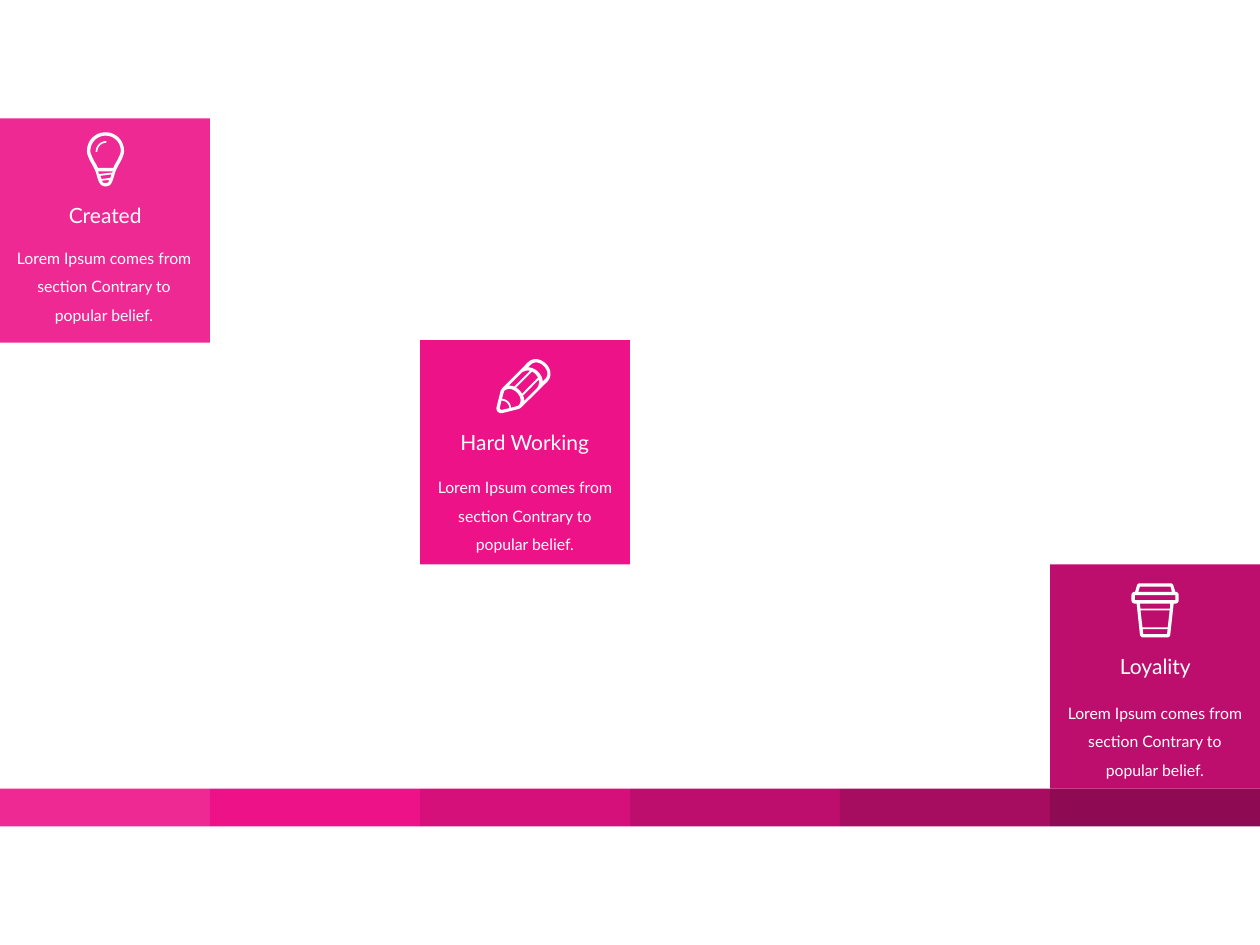
from pptx import Presentation
from pptx import util as u
from pptx.dml.color import RGBColor
from pptx.enum import shapes, text

# Icon outlines in hundredths of an inch: a pair is a corner,
# six numbers are a cubic curve (two handles, then the end).
BULB = [
    [(14.8, 0), (6.5, 0, 0, 6.5, 0, 14.8), (0, 20, 5, 26, 7, 31.5),
     (9, 38, 9.5, 43, 14.8, 43), (20, 43, 20.5, 38, 22.5, 31.5),
     (24.5, 26, 29.5, 20, 29.5, 14.8), (29.5, 6.5, 23, 0, 14.8, 0)],
    [(21, 28.2), (8.6, 28.2), (8, 26.5, 7, 25, 6.3, 23.8),
     (4.5, 20.5, 2.7, 17, 2.7, 14.8), (2.7, 8, 8, 2.7, 14.8, 2.7),
     (21.5, 2.7, 26.9, 8, 26.9, 14.8), (26.9, 17, 25, 20.5, 23.2, 23.8),
     (22.5, 25, 21.6, 26.5, 21, 28.2)],
    [(9.6, 33.2), (8.8, 31), (20.6, 31), (20.1, 32)],
    [(18.6, 36.3), (11.6, 37.1), (10.7, 34.6), (19.4, 33.5)],
    [(14.8, 40.3), (13, 40.3, 12.5, 40.2, 11.9, 38.4), (17.7, 37.9),
     (17, 40.3, 16.5, 40.3, 14.8, 40.3)],
]
GLINT = [[(8.5, 0), (3.8, 0, 0, 3.8, 0, 8.5), (1.3, 8.5),
          (1.3, 4.5, 4.5, 1.3, 8.5, 1.3)]]
PENCIL = [
    [(39.3, 3.7), (36.5, 1, 33, 0, 31.5, 0), (29, 0, 26.5, 1, 25, 2.6),
     (4.9, 22.8), (4, 24, 3.5, 24.8, 3.2, 25.8), (0.3, 37.5),
     (0.1, 38.2, 0, 38.7, 0, 39), (0, 41.4, 1.6, 43, 4, 43),
     (4.6, 43, 5, 42.9, 5.5, 42.7), (17.2, 39.8),
     (18.2, 39.5, 19, 39, 19.8, 38.3), (40.4, 18),
     (44, 14.2, 43.8, 8.2, 39.3, 3.7)],
    [(22, 32), (21.9, 31, 21.5, 30, 21.1, 29), (33.6, 16.4),
     (34.2, 19, 33.6, 21.5, 32, 23.2), (21.9, 33.3)],
    [(20.3, 27.6), (19, 25.3, 17.5, 23.8, 15.5, 22.7), (28.3, 9.9),
     (30.3, 11, 31.9, 12.6, 33, 14.8)],
    [(14.1, 21.9), (12.5, 21.3, 11, 21.1, 9.7, 21.2), (19.8, 11.1),
     (21.6, 9.4, 24.1, 8.7, 26.8, 9.3)],
    [(5, 40.2), (3.7, 40.6, 2.6, 39.8, 2.6, 39), (2.8, 38), (4, 32.9),
     (5.7, 33, 7.2, 33.7, 8.5, 34.8), (9.6, 36, 10.2, 37.5, 10.2, 39)],
    [(11.6, 38.7), (11.5, 36.9, 10.8, 35.2, 9.5, 33.8),
     (8, 32.4, 6.2, 31.7, 4.4, 31.5), (5.8, 26.4),
     (5.9, 26, 6, 25.6, 6.3, 25.2), (9, 22.8, 13.2, 23.4, 16.3, 26.6),
     (19.6, 29.8, 20.1, 34.3, 17.6, 36.8), (16.5, 37.3)],
    [(38.5, 16.1), (36.7, 17.9), (36.6, 14.8, 35, 12.1, 33, 10.1),
     (30.8, 8, 28.1, 6.7, 25.2, 6.6), (27, 4.8),
     (28.2, 3.4, 29.8, 2.7, 31.6, 2.7), (33.6, 2.7, 35.8, 3.7, 37.5, 5.5),
     (41, 9, 41.5, 13, 38.5, 16.1)],
]
CUP = [
    [(34.8, 6.7), (33.2, 1.6), (32.9, 0.6, 32, 0, 31, 0), (6.7, 0),
     (5.6, 0, 4.7, 0.6, 4.4, 1.6), (2.9, 6.7), (1.2, 6.7, 0, 7.9, 0, 9.4),
     (0, 13.4), (0, 14.9, 1.2, 16.1, 2.7, 16.1), (4.1, 16.1), (6.7, 40.6),
     (6.9, 42, 8, 43, 9.4, 43), (28.2, 43), (29.6, 43, 30.7, 42, 30.8, 40.6),
     (33.5, 16.1), (34.8, 16.1), (36.3, 16.1, 37.5, 14.9, 37.5, 13.4),
     (37.5, 9.4), (37.5, 7.9, 36.3, 6.7, 34.8, 6.7)],
    [(6.7, 2.7), (31, 2.7), (32.1, 6.7), (5.4, 6.7)],
    [(9.4, 40.3), (8.9, 36.3), (28.7, 36.3), (28.2, 40.3)],
    [(28.8, 34.9), (8.7, 34.9), (7.2, 21.5), (30.3, 21.5)],
    [(30.5, 20.1), (7.1, 20.1), (6.7, 16.1), (30.8, 16.1)],
    [(34.8, 13.4), (2.7, 13.4), (2.7, 9.4), (34.8, 9.4)],
]
WHITE = "FFFFFF"
BODY = "Lorem Ipsum comes from section Contrary to popular belief."


def paint(shape, color):
    shape.shadow.inherit = False
    shape.fill.solid()
    shape.fill.fore_color.rgb = RGBColor.from_string(color)
    shape.line.fill.background()


def trace(loop, left, top):
    """Turn corners and curves into points on the slide."""
    pts = []
    for step in loop:
        if len(step) == 2:
            pts.append(step)
            continue
        a, b, c, d = pts[-1], step[:2], step[2:4], step[4:]
        for n in range(1, 9):
            t = n / 8
            s = 1 - t
            pts.append([s**3 * a[i] + 3 * s * s * t * b[i]
                        + 3 * s * t * t * c[i] + t**3 * d[i] for i in (0, 1)])
    return [(u.Inches(left + x / 100), u.Inches(top + y / 100)) for x, y in pts]


deck = Presentation()
deck.slide_width, deck.slide_height = u.Inches(10), u.Inches(7.5)
page = deck.slides.add_slide(deck.slide_layouts[6]).shapes
wide = 10 / 6

# Colour band and cards: left, top, width, height, colour
band = ["EF2994", "EE1289", "D6107B", "BE0E6D", "A60C5F", "8E0A52"]
rects = [(i * wide, 6.26, wide, 0.3, color) for i, color in enumerate(band)]
rects += [(col * wide, top, wide, 1.78, color) for col, top, color in
          [(5, 4.48, band[3]), (2, 2.7, band[1]), (0, 0.94, band[0])]]
for *box, color in rects:
    paint(page.add_shape(shapes.MSO_SHAPE.RECTANGLE, *map(u.Inches, box)), color)

# Text: left, top, width, height, words, size, line spacing, wrap
notes = [
    (0.44, 1.56, 0.79, 0.3, "Created", 12, 1, False),
    (3.54, 3.36, 1.25, 0.3, "Hard Working", 12, 1, False),
    (8.78, 5.14, 0.78, 0.3, "Loyality", 12, 1, False),
]
notes += [(left, top, 1.65, 0.78, BODY, 9, 1.5, True)
          for left, top in [(0, 1.85), (3.34, 3.67), (8.34, 5.46)]]
for *box, words, size, space, wrap in notes:
    frame = page.add_textbox(*map(u.Inches, box)).text_frame
    frame.word_wrap = wrap
    frame.auto_size = text.MSO_AUTO_SIZE.SHAPE_TO_FIT_TEXT
    para = frame.paragraphs[0]
    para.text = words
    para.alignment = text.PP_ALIGN.CENTER
    para.line_spacing = space
    para.font.name = "Lato"
    para.font.size = u.Pt(size)
    para.font.color.rgb = RGBColor.from_string(WHITE)

# Icons; inner loops are holes
for icon, left, top in [(BULB, 0.69, 1.05), (GLINT, 0.76, 1.12),
                        (PENCIL, 3.94, 2.85), (CUP, 8.98, 4.63)]:
    loops = [trace(loop, left, top) for loop in icon]
    pen = page.build_freeform(*loops[0][0])
    for loop in loops:
        if loop is not loops[0]:
            pen.move_to(*loop[0])
        pen.add_line_segments(loop[1:], close=True)
    paint(pen.convert_to_shape(), WHITE)

deck.save("out.pptx")
